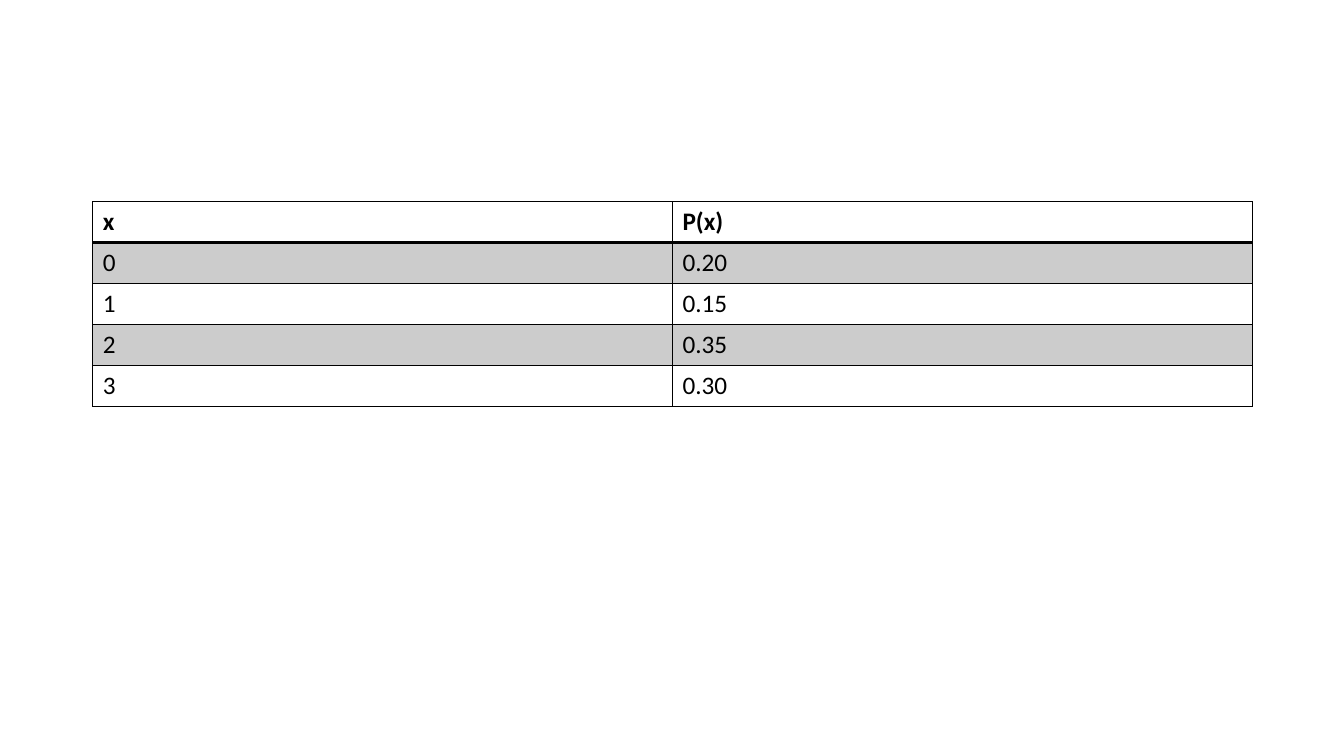
from lxml.etree import SubElement
from pptx import Presentation
from pptx.dml.color import RGBColor
from pptx.oxml.ns import qn
from pptx.util import Inches, Pt

COLORS = {"ink": "000000"}
HEADER_FONT = {"name": "Calibri", "size": Pt(18), "bold": True}
BODY_FONT = {**HEADER_FONT, "bold": False}
BAND_ALPHA = 20000  # 20 % opaque

distribution = [
    ("x", "P(x)"),
    ("0", "0.20"),
    ("1", "0.15"),
    ("2", "0.35"),
    ("3", "0.30"),
]

presentation = Presentation()
presentation.slide_width = Inches(13.33)
presentation.slide_height = Inches(7.5)
slide = presentation.slides.add_slide(presentation.slide_layouts[6])

# Table grid: two equal columns, five equal rows
column_width, row_height = Inches(5.75), Inches(2.03) // len(distribution)
table = slide.shapes.add_table(
    len(distribution), 2, Inches(0.92), Inches(2),
    2 * column_width, len(distribution) * row_height,
).table
table.first_row = True
table.horz_banding = False


def add_border(cell, side, width):
    line = SubElement(cell._tc.get_or_add_tcPr(), qn(f"a:ln{side}"), w=str(Pt(width)))
    fill = SubElement(line, qn("a:solidFill"))
    SubElement(fill, qn("a:srgbClr"), val=COLORS["ink"])


for row_index, values in enumerate(distribution):
    for column_index, value in enumerate(values):
        cell = table.cell(row_index, column_index)

        # Borders, heavier under the header
        add_border(cell, "L", 1)
        add_border(cell, "R", 1)
        add_border(cell, "T", 2 if row_index == 1 else 1)
        add_border(cell, "B", 2 if row_index == 0 else 1)

        # Grey bands on odd rows
        if row_index % 2:
            cell.fill.solid()
            cell.fill.fore_color.rgb = RGBColor.from_string(COLORS["ink"])
            band_color = cell._tc.tcPr.find(f"{qn('a:solidFill')}/{qn('a:srgbClr')}")
            SubElement(band_color, qn("a:alpha"), val=str(BAND_ALPHA))
        else:
            cell.fill.background()

        # Text
        cell.text = value
        font = cell.text_frame.paragraphs[0].runs[0].font
        for attribute, setting in (BODY_FONT if row_index else HEADER_FONT).items():
            setattr(font, attribute, setting)
        font.color.rgb = RGBColor.from_string(COLORS["ink"])

presentation.save("out.pptx")
